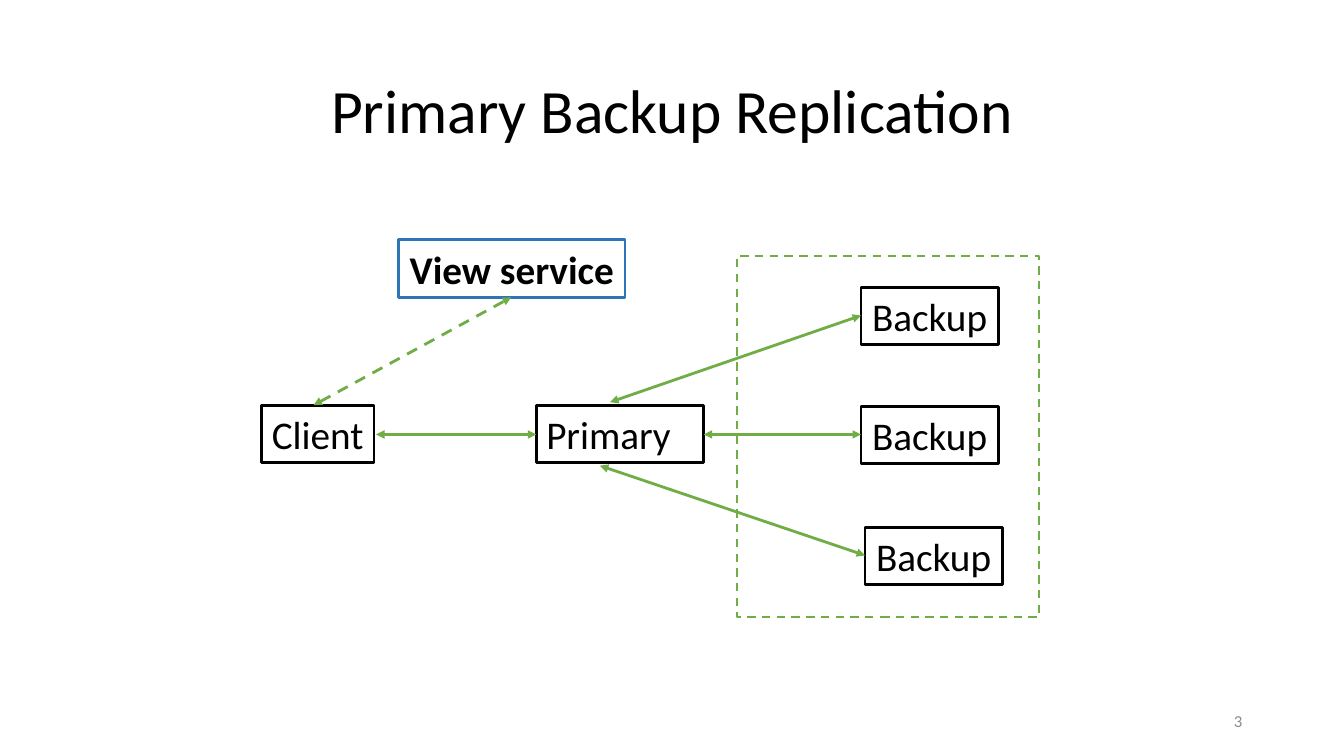
from lxml import etree
from pptx import Presentation
from pptx.dml.color import RGBColor
from pptx.enum.dml import MSO_LINE
from pptx.enum.shapes import MSO_CONNECTOR, MSO_SHAPE
from pptx.enum.text import MSO_ANCHOR, PP_ALIGN
from pptx.oxml.ns import qn
from pptx.util import Inches, Pt

BLACK = RGBColor(0x00, 0x00, 0x00)
GREEN = RGBColor(0x70, 0xAD, 0x47)
BLUE = RGBColor(0x2E, 0x75, 0xB6)
GREY = RGBColor(0x8C, 0x8C, 0x8C)


def write_text(shape, text, size=28, color=BLACK, bold=False, align=PP_ALIGN.CENTER, wrap=True):
    frame = shape.text_frame
    frame.word_wrap = wrap
    frame.vertical_anchor = MSO_ANCHOR.MIDDLE
    paragraph = frame.paragraphs[0]
    paragraph.text = text
    paragraph.alignment = align
    font = paragraph.font
    font.name, font.size, font.bold = "Calibri", Pt(size), bold
    font.color.rgb = color


def add_outline(left, top, width, height, color=BLACK, weight=2):
    box = slide.shapes.add_shape(
        MSO_SHAPE.RECTANGLE, Inches(left), Inches(top), Inches(width), Inches(height))
    box.shadow.inherit = False
    box.fill.background()
    box.line.color.rgb = color
    box.line.width = Pt(weight)
    return box


prs = Presentation()
prs.slide_width, prs.slide_height = Inches(13.33), Inches(7.5)
slide = prs.slides.add_slide(prs.slide_layouts[5])

title = slide.shapes.title
title.left, title.top = Inches(0.92), Inches(0.4)
title.width, title.height = Inches(11.5), Inches(1.45)
write_text(title, "Primary Backup Replication", size=44)
title.text_frame.paragraphs[0].line_spacing = 0.9

# Servers and the client
nodes = [
    ("Client", 2.59, 4.02, 1.12, BLACK),
    ("Primary", 5.32, 4.02, 1.66, BLACK),
    ("Backup", 8.54, 2.85, 1.36, BLACK),
    ("Backup", 8.54, 4.03, 1.36, BLACK),
    ("Backup", 8.58, 5.23, 1.36, BLACK),
    ("View service", 3.95, 2.38, 2.25, BLUE),
]
for label, left, top, width, outline in nodes:
    node = add_outline(left, top, width, 0.57, outline)
    is_primary = label == "Primary"
    write_text(node, label, bold=label == "View service", wrap=is_primary,
               align=PP_ALIGN.LEFT if is_primary else PP_ALIGN.CENTER)

backup_group = add_outline(7.31, 2.54, 3, 3.58, GREEN, 1.5)
backup_group.line.dash_style = MSO_LINE.DASH

# Two-way messages: start, end, dashed
messages = [
    ((8.54, 3.13), (6.05, 3.99), False),
    ((8.58, 5.51), (5.95, 4.62), False),
    ((5.32, 4.31), (3.73, 4.31), False),
    ((8.54, 4.31), (6.98, 4.31), False),
    ((3.11, 4.02), (5.07, 2.95), True),
]
for start, end, dashed in messages:
    message = slide.shapes.add_connector(
        MSO_CONNECTOR.STRAIGHT, *map(Inches, start + end))
    message.line.color.rgb = GREEN
    message.line.width = Pt(2)
    if dashed:
        message.line.dash_style = MSO_LINE.DASH
    line_xml = message.line._get_or_add_ln()
    for arrowhead in ("a:headEnd", "a:tailEnd"):
        etree.SubElement(line_xml, qn(arrowhead), type="triangle")
    etree.SubElement(message._element.spPr, qn("a:effectLst"))

page_number = slide.shapes.add_textbox(Inches(9.42), Inches(6.95), Inches(3), Inches(0.4))
write_text(page_number, "3", size=12, color=GREY, align=PP_ALIGN.RIGHT)

prs.save("out.pptx")
